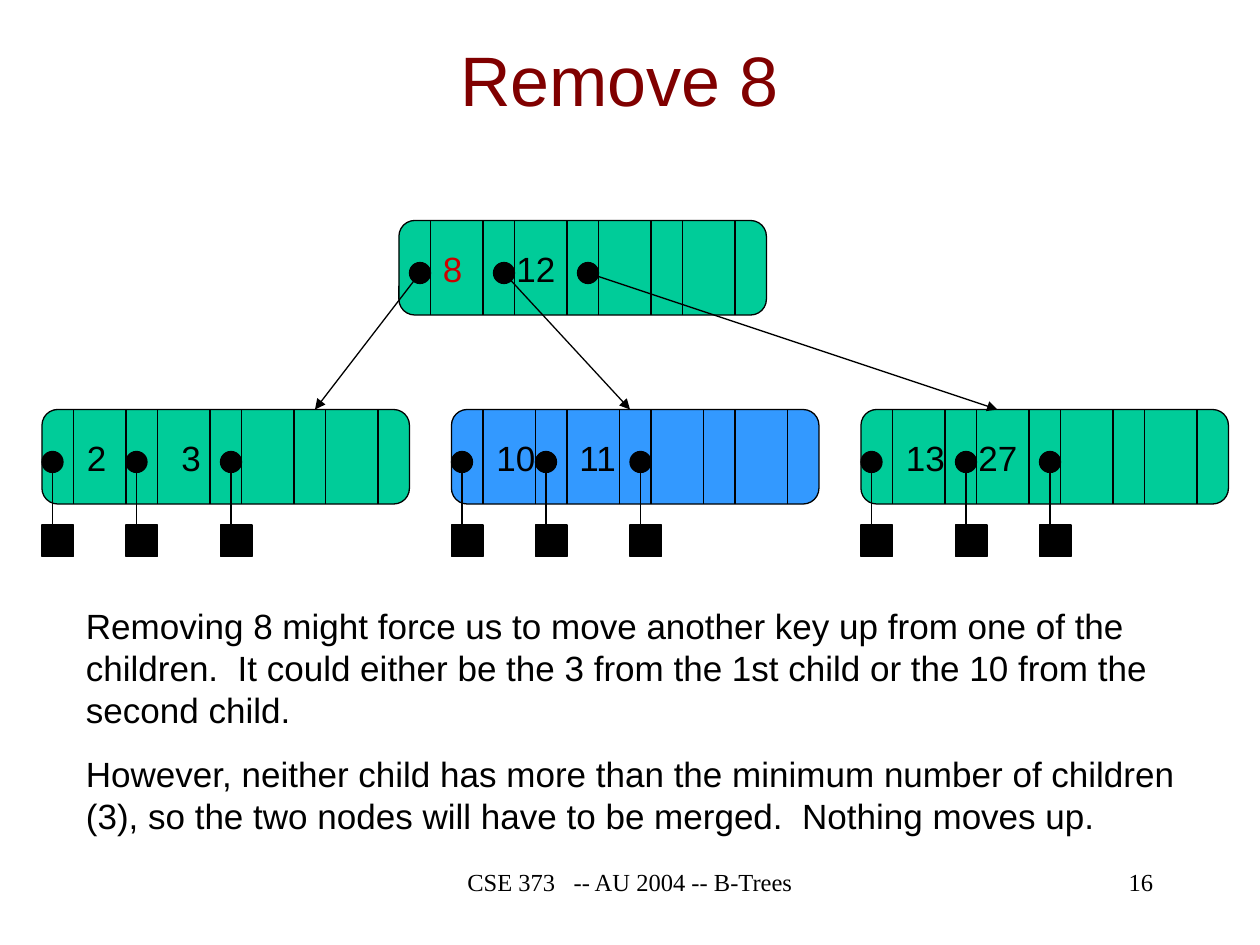
from lxml.etree import SubElement
from pptx import Presentation
from pptx.dml.color import RGBColor
from pptx.enum.shapes import MSO_CONNECTOR as Connector, MSO_SHAPE as Shape
from pptx.enum.text import MSO_ANCHOR as Anchor, PP_ALIGN as Align
from pptx.oxml.ns import qn
from pptx.util import Emu, Pt

PX = 914400 // 120  # 120 px to the inch
BLACK, GREEN, BLUE, RED, MAROON = "000000", "00CC99", "3399FF", "CC0000", "800000"
NODE_WIDTH, NODE_HEIGHT = 350, 90
POINTER_WIDTH, SLOT_WIDTH, SLOTS = 30, 80, 4
DOT, DOT_TOP = 20, 40
CHILD_TOP = 390


def px(*lengths):
    return [Emu(length * PX) for length in lengths]


def color(hex_string):
    return RGBColor.from_string(hex_string)


def add_text(slide, box, paragraphs, **style):
    frame = slide.shapes.add_textbox(*px(*box)).text_frame
    frame.word_wrap = style.get("wrap", True)
    frame.vertical_anchor = style.get("anchor", Anchor.TOP)
    font_format = {"size": Pt(style.get("size", 20)), "name": style.get("font", "Arial")}
    paragraph_format = {"alignment": style.get("align", Align.LEFT),
                        "space_before": Pt(style.get("before", 0))}
    for index, text in enumerate(paragraphs):
        paragraph = frame.add_paragraph() if index else frame.paragraphs[0]
        for name, value in paragraph_format.items():
            setattr(paragraph, name, value)
        run = paragraph.add_run()
        run.text = text
        for name, value in font_format.items():
            setattr(run.font, name, value)
        run.font.color.rgb = color(style.get("color", BLACK))


def add_shape(slide, kind, box, fill):
    shape = slide.shapes.add_shape(kind, *px(*box))
    shape.shadow.inherit = False
    shape.fill.solid()
    shape.fill.fore_color.rgb = color(fill)
    shape.line.color.rgb = color(BLACK)
    shape.line.width = Pt(0.75)


def add_line(slide, start, end, arrow=False):
    line = slide.shapes.add_connector(Connector.STRAIGHT, *px(*start, *end))
    line.line.color.rgb = color(BLACK)
    line.line.width = Pt(0.75)
    if arrow:
        SubElement(line.line._get_or_add_ln(), qn("a:tailEnd"), type="triangle")
    SubElement(line._element.spPr, qn("a:effectLst"))


def add_node(slide, left, top, fill, keys):
    """Draw the node box, its slot dividers and its keys, given as (text, offset, colour)."""
    add_shape(slide, Shape.ROUNDED_RECTANGLE, (left, top, NODE_WIDTH, NODE_HEIGHT), fill)
    for slot in range(SLOTS):
        for offset in (POINTER_WIDTH, SLOT_WIDTH):
            x = left + slot * SLOT_WIDTH + offset
            add_line(slide, (x, top), (x, top + NODE_HEIGHT))
    for text, offset, key_color in keys:
        width = 42 if len(text) == 1 else 61
        add_text(slide, (left + offset, top + 20, width, 53), [text],
                 color=key_color, wrap=False)


def add_pointer(slide, left, top, target):
    """Draw a pointer dot and the arrow from its centre to the target."""
    add_shape(slide, Shape.OVAL, (left, top, DOT, DOT), BLACK)
    add_line(slide, (left + DOT // 2, top + DOT // 2), target, arrow=True)


def add_root(slide, left, top):
    add_node(slide, left, top, GREEN, [("8", 30, RED), ("12", 100, BLACK)])
    for index, target_x in enumerate((300, 600, 950)):
        add_pointer(slide, left + 10 + index * SLOT_WIDTH, top + DOT_TOP,
                    (target_x, CHILD_TOP))


def add_leaf(slide, left, top, fill, keys, pointers):
    add_node(slide, left, top, fill, [(text, offset, BLACK) for text, offset in keys])
    for offset in pointers:
        x = left + offset
        add_pointer(slide, x, top + DOT_TOP, (x + DOT // 2, top + 130))
        add_shape(slide, Shape.RECTANGLE, (x, top + 110, 30, 30), BLACK)


def add_footer(slide, top):
    for left, width, text, align in (
        (410, 380, "CSE 373   -- AU 2004 -- B-Trees", Align.CENTER),
        (860, 250, "16", Align.RIGHT),
    ):
        add_text(slide, (left, top, width, 60), [text],
                 size=14, font="Times New Roman", align=align)


def main():
    presentation = Presentation()
    presentation.slide_width, presentation.slide_height = px(1200, 900)
    slide = presentation.slides.add_slide(presentation.slide_layouts[6])

    add_text(slide, (80, 20, 1020, 110), ["Remove 8"], size=40, color=MAROON,
             align=Align.CENTER, anchor=Anchor.MIDDLE)
    leaves = (
        (GREEN, [("2", 31), ("3", 121)], (0, 80, 170)),
        (BLUE, [("10", 31), ("11", 110)], (0, 80, 170)),
        (GREEN, [("13", 31), ("27", 100)], (0, 90, 170)),
    )
    for index, (fill, keys, pointers) in enumerate(leaves):
        add_leaf(slide, 40 + index * 390, CHILD_TOP, fill, keys, pointers)
    add_root(slide, 380, 210)
    add_text(slide, (70, 570, 1070, 233), [
        "Removing 8 might force us to move another key up from one of the children.  "
        "It could either be the 3 from the 1st child or the 10 from the second child.",
        "However, neither child has more than the minimum number of children (3), "
        "so the two nodes will have to be merged.  Nothing moves up.",
    ], before=12.5)
    add_footer(slide, 820)
    presentation.save("out.pptx")


if __name__ == "__main__":
    main()
